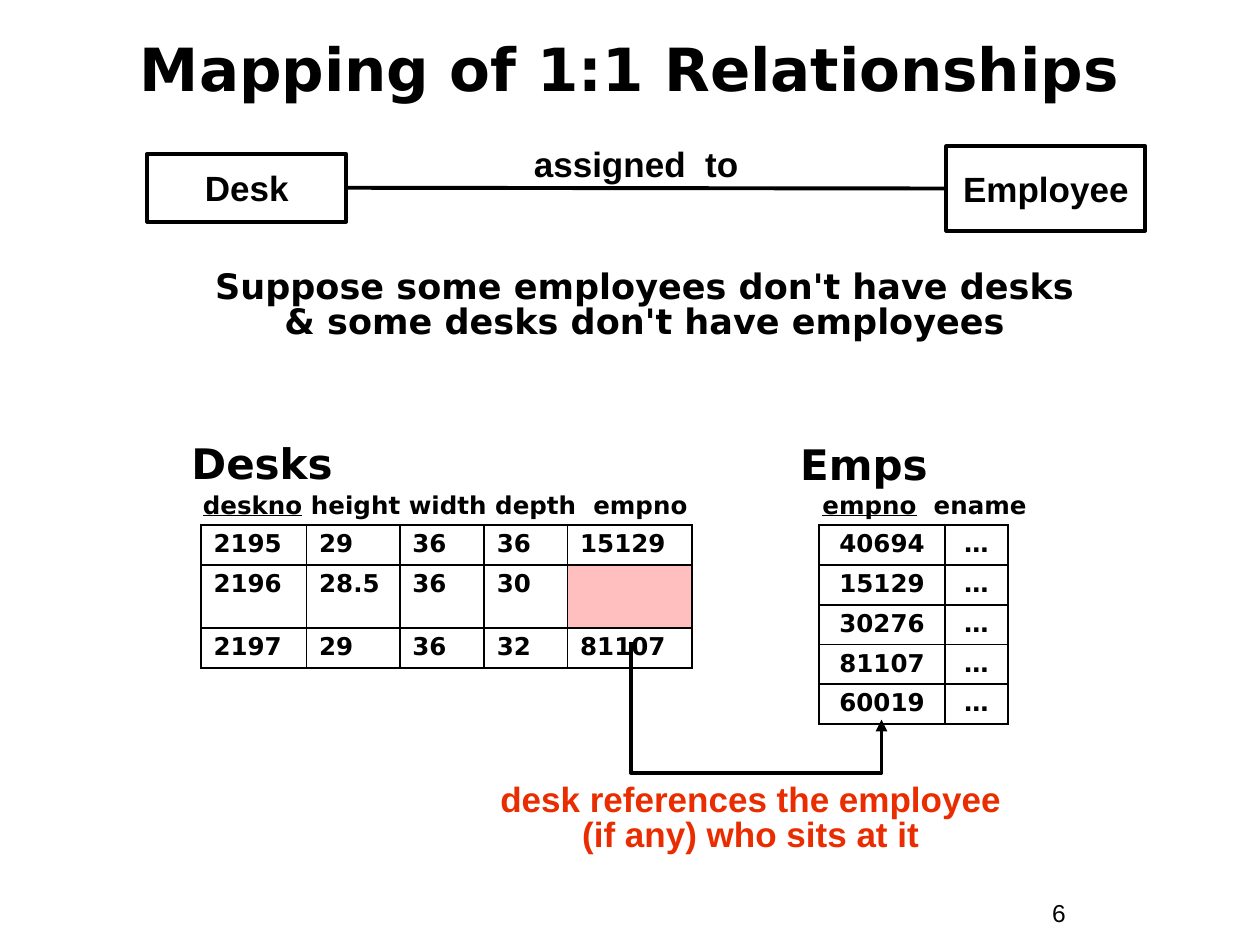
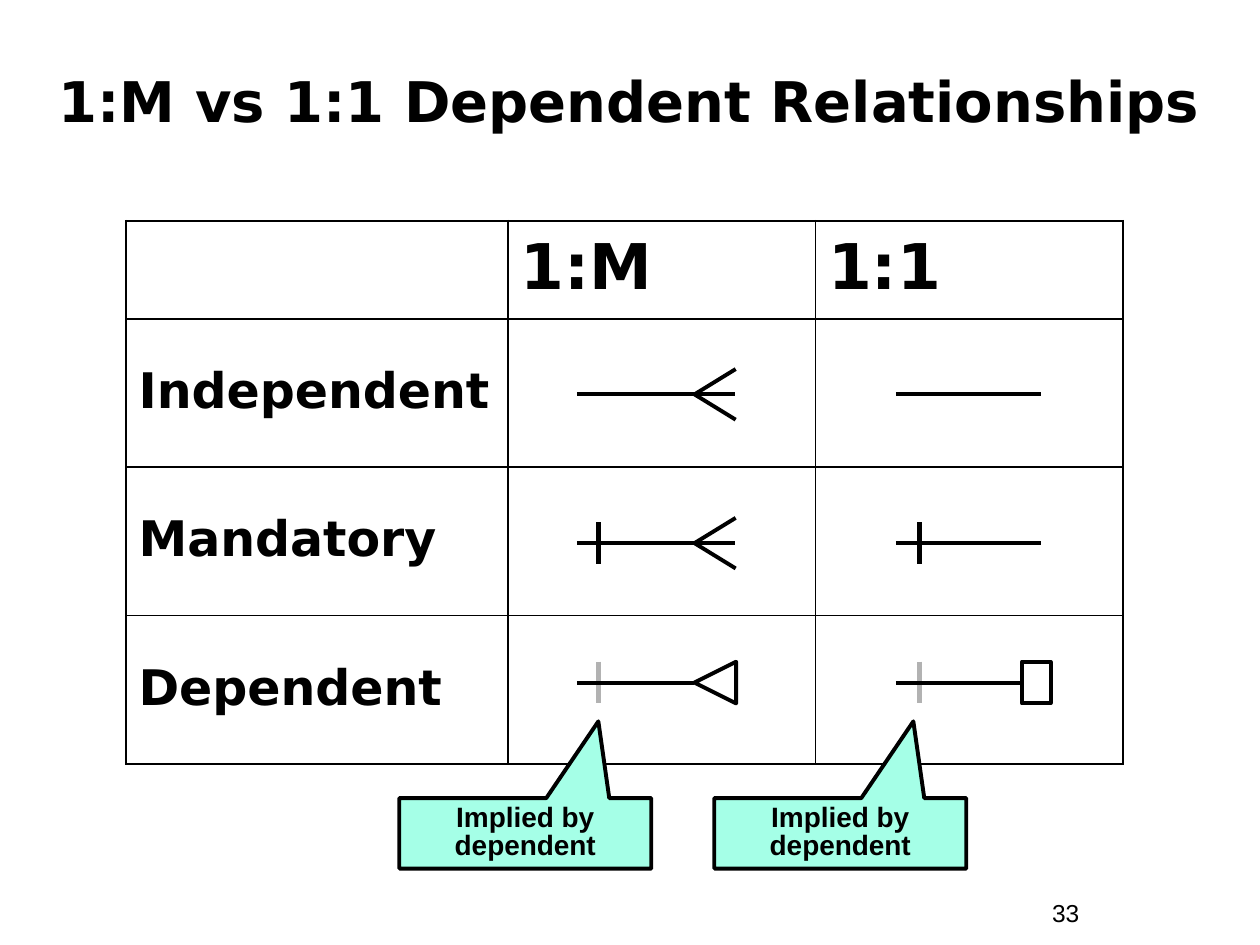
from lxml.etree import SubElement
from pptx import Presentation
from pptx.dml.color import RGBColor
from pptx.enum.shapes import MSO_CONNECTOR, MSO_SHAPE
from pptx.enum.text import MSO_ANCHOR, MSO_AUTO_SIZE, PP_ALIGN
from pptx.oxml.ns import qn
from pptx.util import Cm, Pt

COLORS = {name: RGBColor.from_string(value) for name, value in {
    "ink": "000000", "red": "EA2D00", "pink": "FFBFBF",
    "mint": "A5FFE7", "grey": "B2B2B2"}.items()}
SANS, ARIAL = "DejaVu Sans", "Arial"
LEFT, CENTER = PP_ALIGN.LEFT, PP_ALIGN.CENTER
RULE = Pt(2.25)


def write(frame, text, size, font=SANS, align=LEFT, spacing=1.0, color="ink", bold=True):
    paragraph = frame.paragraphs[0]
    paragraph.text = text
    paragraph.alignment = align
    paragraph.line_spacing = spacing
    paragraph.font.name = font
    paragraph.font.size = Pt(size)
    paragraph.font.bold = bold
    paragraph.font.color.rgb = COLORS[color]
    return paragraph


def add_grid(page, left, top, widths, heights, rows, sizes, align, anchor):
    table = page.shapes.add_table(len(heights), len(widths), Cm(left), Cm(top),
                                  Cm(sum(widths)), Cm(sum(heights))).table
    table.first_row = table.horz_banding = False
    for column, width in zip(table.columns, widths):
        column.width = Cm(width)
    for row, height, texts, size in zip(table.rows, heights, rows, sizes):
        row.height = Cm(height)
        for cell, text in zip(row.cells, texts):
            write(cell.text_frame, text, size, align=align, spacing=0.9)
            cell.vertical_anchor = anchor
            properties = cell._tc.get_or_add_tcPr()
            for side in ("lnL", "lnR", "lnT", "lnB"):
                border = SubElement(properties, qn(f"a:{side}"), w=str(Pt(1.08)))
                fill = SubElement(border, qn("a:solidFill"))
                SubElement(fill, qn("a:srgbClr"), val=str(COLORS["ink"]))
            cell.fill.background()
    return table


deck = Presentation()
deck.slide_width, deck.slide_height = Cm(25.4), Cm(19.05)

# Titles and slide numbers
pages = []
for heading, top, size, number in [
        ("Mapping of 1:1 Relationships", 0.2, 34, "6"),
        ("1:M vs 1:1 Dependent Relationships", 0.84, 32, "33")]:
    page = deck.slides.add_slide(deck.slide_layouts[5])
    title = page.shapes.title
    title.left, title.top, title.width, title.height = Cm(0.84), Cm(top), Cm(23.7), Cm(2.34)
    title.text_frame.auto_size = MSO_AUTO_SIZE.NONE
    title.text_frame.vertical_anchor = MSO_ANCHOR.MIDDLE
    write(title.text_frame, heading, size, align=CENTER)
    box = page.shapes.add_textbox(Cm(20.96), Cm(17.98), Cm(2.34), Cm(0.86))
    write(box.text_frame, number, 14, ARIAL, bold=False)
    pages.append(page)
mapping, notation = pages
connectors = []  # (connector, colour, width)
outlined = []  # shapes with a black outline

# Slide 1: entities and their relationship
entities = []
for name, left, top, height in [("Desk", 2.97, 3.1, 1.37), ("Employee", 19.08, 2.95, 1.7)]:
    entity = mapping.shapes.add_shape(MSO_SHAPE.RECTANGLE, Cm(left), Cm(top), Cm(4.01), Cm(height))
    entity.fill.background()
    entity.text_frame.word_wrap = False
    write(entity.text_frame, name, 20, ARIAL, CENTER)
    entities.append(entity)
outlined += entities
assignment = mapping.shapes.add_connector(MSO_CONNECTOR.STRAIGHT, 0, 0, 0, 0)
assignment.begin_connect(entities[0], 3)
assignment.end_connect(entities[1], 1)
connectors.append((assignment, "ink", RULE))

# Slide 1: captions
for text, left, top, width, height, size, font, align, spacing, color in [
        ("assigned  to", 9.09, 2.74, 7.47, 1.12, 20, ARIAL, CENTER, 1.0, "ink"),
        ("Suppose some employees don't have desks\n& some desks don't have employees",
         4.01, 5.33, 17.98, 1.7, 20, SANS, CENTER, 0.85, "ink"),
        ("Desks", 3.61, 8.69, 3.38, 1.27, 24, SANS, LEFT, 1.0, "ink"),
        ("Emps", 15.88, 8.72, 5.92, 1.27, 24, SANS, LEFT, 1.0, "ink"),
        ("desk references the employee (if any) who sits at it",
         9.52, 15.67, 11.23, 1.7, 20, ARIAL, CENTER, 0.85, "red")]:
    box = mapping.shapes.add_textbox(Cm(left), Cm(top), Cm(width), Cm(height))
    box.text_frame.word_wrap = True
    write(box.text_frame, text, size, font, align, spacing, color)

# Slide 1: column names with underlined keys
for key, others, left, width in [
        ("deskno", " height width depth  empno", 3.84, 10.59),
        ("empno", "  ename", 16.33, 4.62)]:
    box = mapping.shapes.add_textbox(Cm(left), Cm(9.75), Cm(width), Cm(0.86))
    box.text_frame.word_wrap = True
    paragraph = write(box.text_frame, key, 14)
    paragraph.runs[0].font.underline = True
    span = paragraph.add_run()
    span.text = others

# Slide 1: tables
desks = add_grid(mapping, 4.05, 10.59, [2.13, 1.88, 1.7, 1.68, 2.51], [0.8, 1.27, 0.8],
                 [("2195", "29", "36", "36", "15129"),
                  ("2196", "28.5", "36", "30", ""),
                  ("2197", "29", "36", "32", "81107")],
                 [14] * 3, LEFT, MSO_ANCHOR.TOP)
unassigned = desks.cell(1, 4)
unassigned.fill.solid()
unassigned.fill.fore_color.rgb = COLORS["pink"]
employee_numbers = ["40694", "15129", "30276", "81107", "60019"]
add_grid(mapping, 16.51, 10.59, [2.54, 1.27], [0.8] * 5,
         [(number, "…") for number in employee_numbers],
         [14] * 5, CENTER, MSO_ANCHOR.MIDDLE)

# Slide 1: reference arrow, turned so that it leaves downwards
reference = mapping.shapes.add_connector(
    MSO_CONNECTOR.ELBOW, Cm(14.46), Cm(16.25), Cm(16.03), Cm(11.2))
connectors.append((reference, "ink", RULE))
properties = reference._element.spPr
properties.find(qn("a:xfrm")).set("rot", str(270 * 60000))
geometry = properties.find(qn("a:prstGeom"))
adjustments = geometry.find(qn("a:avLst"))
if adjustments is None:
    adjustments = SubElement(geometry, qn("a:avLst"))
SubElement(adjustments, qn("a:gd"), name="adj1", fmla="val -68500")

# Slide 2: relationship lines, bars and crow's feet
independent, mandatory, dependent = 7.95, 10.95, 13.76
many, one = 11.63, 18.06
many_end, one_end = 14.81, 20.98
fork, fork_end = 14.0, 14.83
strokes = [(bar, dependent - 0.42, bar, dependent + 0.42, "grey", Pt(3)) for bar in (12.07, 18.54)]
for y in (independent, mandatory):
    strokes += [(many, y, many_end, y, "ink", RULE),
                (one, y, one_end, y, "ink", RULE)]
    strokes += [(fork, y, fork_end, y + rise, "ink", RULE) for rise in (-0.51, 0.51)]
strokes += [(bar, mandatory - 0.42, bar, mandatory + 0.42, "ink", Pt(3)) for bar in (12.07, 18.54)]
strokes.append((many, dependent, fork, dependent, "ink", RULE))
for x1, y1, x2, y2, color, width in strokes:
    stroke = notation.shapes.add_connector(MSO_CONNECTOR.STRAIGHT, Cm(x1), Cm(y1), Cm(x2), Cm(y2))
    connectors.append((stroke, color, width))

# Slide 2: table of notations
add_grid(notation, 2.54, 4.45, [7.7, 6.2, 6.2], [1.98] + [2.99] * 3,
         [("", "1:M", "1:1"), ("Independent", "", ""), ("Mandatory", "", ""), ("Dependent", "", "")],
         [36, 28, 28, 28], LEFT, MSO_ANCHOR.MIDDLE)

# Slide 2: end symbols of dependent relationships
triangle = notation.shapes.add_shape(
    MSO_SHAPE.FLOWCHART_EXTRACT, Cm(fork), Cm(dependent - 0.42), Cm(0.84), Cm(0.84))
triangle.rotation = 270
square = notation.shapes.add_shape(
    MSO_SHAPE.RECTANGLE, Cm(20.6), Cm(dependent - 0.42), Cm(0.58), Cm(0.84))
for symbol in (triangle, square):
    symbol.fill.background()
    outlined.append(symbol)
single = notation.shapes.add_connector(
    MSO_CONNECTOR.STRAIGHT, Cm(one), Cm(dependent), Cm(20.6), Cm(dependent))
single.end_connect(square, 1)
connectors.append((single, "ink", RULE))

# Slide 2: callouts
for left in (8.05, 14.4):
    callout = notation.shapes.add_shape(
        MSO_SHAPE.RECTANGULAR_CALLOUT, Cm(left), Cm(16.09), Cm(5.08), Cm(1.42))
    callout.adjustments[0], callout.adjustments[1] = 0.29, -1.59
    callout.fill.solid()
    callout.fill.fore_color.rgb = COLORS["mint"]
    callout.text_frame.word_wrap = True
    callout.text_frame.vertical_anchor = MSO_ANCHOR.TOP
    write(callout.text_frame, "Implied by dependent", 16, ARIAL, CENTER, 0.85)
    outlined.append(callout)

# Outlines and lines
for shape in outlined:
    shape.shadow.inherit = False
    shape.line.color.rgb = COLORS["ink"]
    shape.line.width = RULE
for connector, color, width in connectors:
    connector.line.color.rgb = COLORS[color]
    connector.line.width = width
    SubElement(connector._element.spPr, qn("a:effectLst"))
SubElement(reference.line._get_or_add_ln(), qn("a:headEnd"), type="triangle")

deck.save("out.pptx")
